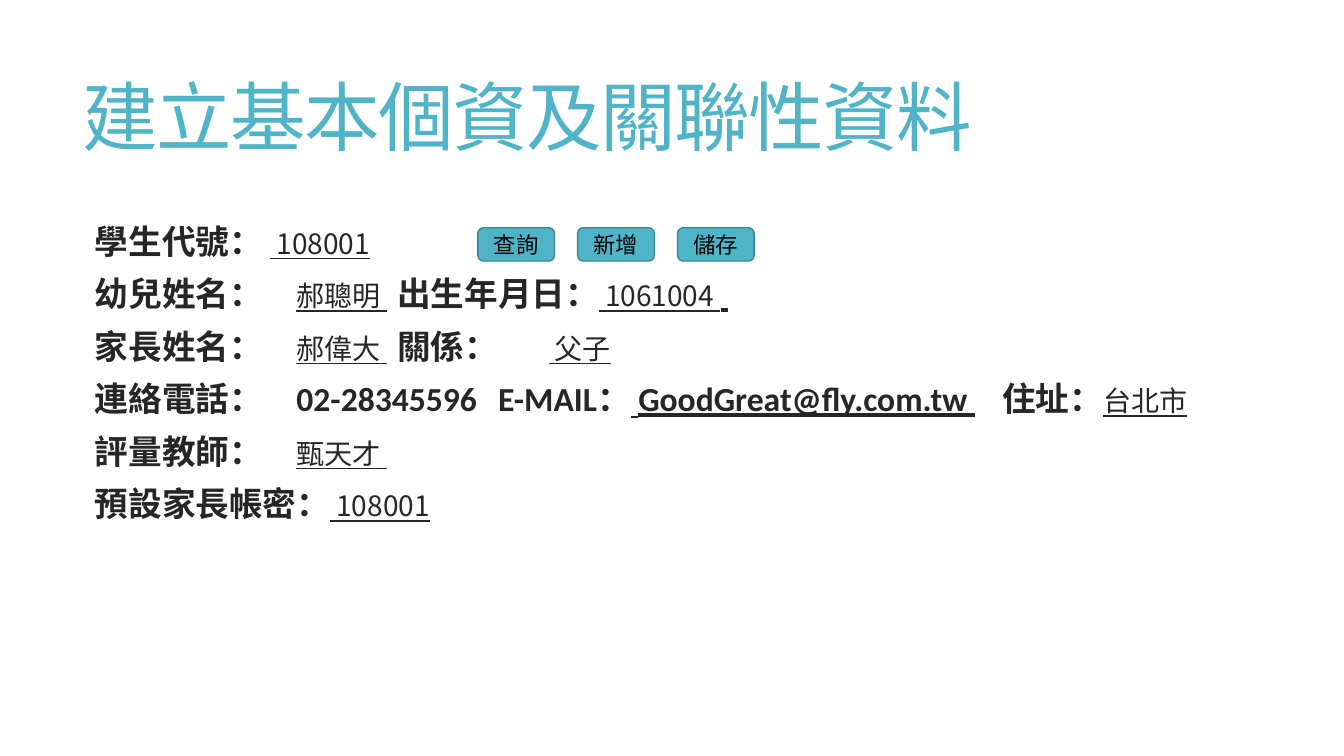
from dataclasses import dataclass

from lxml.etree import SubElement
from pptx import Presentation
from pptx.dml.color import RGBColor
from pptx.enum.shapes import MSO_SHAPE as Preset
from pptx.enum.text import MSO_ANCHOR as Anchor, MSO_AUTO_SIZE as AutoSize, PP_ALIGN as Align
from pptx.oxml.ns import qn
from pptx.util import Inches, Pt

LATIN, CJK = "Calibri", "Noto Sans CJK SC"
TEAL, TEAL_DARK, INK, BLACK = "50B4C8", "3B8594", "262626", "000000"
VALUE_TAB = 1.82


@dataclass(frozen=True)
class Style:
    size: float
    color: str = INK
    font: str = LATIN
    bold: bool = False
    underline: bool = False


@dataclass(frozen=True)
class Row:
    """One line of the form: styled pieces and tab stops in inches."""
    pieces: list[tuple[str, Style]]
    tabs: tuple[float, ...] = ()


TITLE = Style(54, TEAL)
BUTTON = Style(16, BLACK)
LABEL = Style(24, bold=True)
LINKED = Style(24, bold=True, underline=True)
VALUE = Style(20, font=CJK, underline=True)

ROWS = [
    Row([("學生代號： ", LABEL), (" 108001", VALUE)]),
    Row([("幼兒姓名：\t", LABEL), ("郝聰明 ", VALUE), ("\t出生年月日：", LABEL),
         (" 1061004 ", VALUE), (" ", LINKED)], (VALUE_TAB, 3.17)),
    Row([("家長姓名：\t", LABEL), ("郝偉大 ", VALUE), ("\t關係：\t", LABEL),
         (" 父子", VALUE)], (VALUE_TAB, 3.7, 4.92)),
    Row([("連絡電話：\t02-28345596\tE-MAIL：", LABEL), (" GoodGreat@fly.com.tw ", LINKED),
         ("\t住址：", LABEL), ("台北市", VALUE)], (1.9, 3.84, 9.04)),
    Row([("評量教師：", LABEL), ("\t", LINKED), ("甄天才 ", VALUE)], (VALUE_TAB,)),
    Row([("預設家長帳密：", LABEL), (" 108001", VALUE)]),
]

BUTTONS = ["查詢", "新增", "儲存"]
BUTTON_LEFT, BUTTON_TOP, BUTTON_PITCH = 4.74, 2.26, 0.99
BUTTON_WIDTH, BUTTON_HEIGHT = 0.76, 0.33


def rgb(color: str) -> RGBColor:
    return RGBColor.from_string(color)


def add_run(paragraph, text: str, style: Style):
    run = paragraph.add_run()
    run.text = text
    font = run.font
    font.size = Pt(style.size)
    font.name = style.font
    font.bold = style.bold
    font.underline = style.underline
    font.color.rgb = rgb(style.color)
    east_asian = SubElement(run._r.rPr, qn("a:ea"))
    east_asian.set("typeface", CJK)
    return run


def place(shape, left: float, top: float, width: float, height: float, anchor):
    """Set a placeholder's box and return its text frame."""
    shape.left, shape.top = Inches(left), Inches(top)
    shape.width, shape.height = Inches(width), Inches(height)
    frame = shape.text_frame
    frame.word_wrap = True
    frame.auto_size = AutoSize.NONE
    frame.vertical_anchor = anchor
    return frame


def add_title(slide) -> None:
    frame = place(slide.shapes.title, 0.72, 0.55, 11.78, 1.32, Anchor.MIDDLE)
    heading = frame.paragraphs[0]
    heading.alignment = Align.LEFT
    heading.line_spacing = 0.85
    run = add_run(heading, "建立基本個資及關聯性資料", TITLE)
    run._r.rPr.set("spc", "-120")


def format_row(paragraph, tabs: tuple[float, ...]) -> None:
    """Set spacing, no bullet and tab stops."""
    paragraph.line_spacing = 0.85
    paragraph.space_before = Pt(13)
    properties = paragraph._p.get_or_add_pPr()
    properties.set("marL", "0")
    properties.set("indent", "0")
    SubElement(properties, qn("a:buNone"))
    if tabs:
        stops = SubElement(properties, qn("a:tabLst"))
        for position in tabs:
            SubElement(stops, qn("a:tab"), pos=str(Inches(position)), algn="l")


def add_form(slide) -> None:
    frame = place(slide.placeholders[1], 0.74, 2.2, 11.76, 4.12, Anchor.TOP)
    frame.margin_left = Inches(0.2)
    for index, row in enumerate(ROWS):
        paragraph = frame.add_paragraph() if index else frame.paragraphs[0]
        format_row(paragraph, row.tabs)
        for text, style in row.pieces:
            add_run(paragraph, text, style)


def add_button(slide, caption: str, left: float) -> None:
    button = slide.shapes.add_shape(
        Preset.ROUNDED_RECTANGLE, Inches(left), Inches(BUTTON_TOP),
        Inches(BUTTON_WIDTH), Inches(BUTTON_HEIGHT))
    button.shadow.inherit = False
    button.fill.solid()
    button.fill.fore_color.rgb = rgb(TEAL)
    button.line.color.rgb = rgb(TEAL_DARK)
    button.line.width = Pt(1)
    frame = button.text_frame
    frame.vertical_anchor = Anchor.MIDDLE
    frame.paragraphs[0].alignment = Align.CENTER
    add_run(frame.paragraphs[0], caption, BUTTON)


def main() -> None:
    deck = Presentation()
    deck.slide_width, deck.slide_height = Inches(13.33), Inches(7.5)
    slide = deck.slides.add_slide(deck.slide_layouts[1])
    add_title(slide)
    add_form(slide)
    for index, caption in enumerate(BUTTONS):
        add_button(slide, caption, BUTTON_LEFT + index * BUTTON_PITCH)
    deck.save("out.pptx")


if __name__ == "__main__":
    main()
